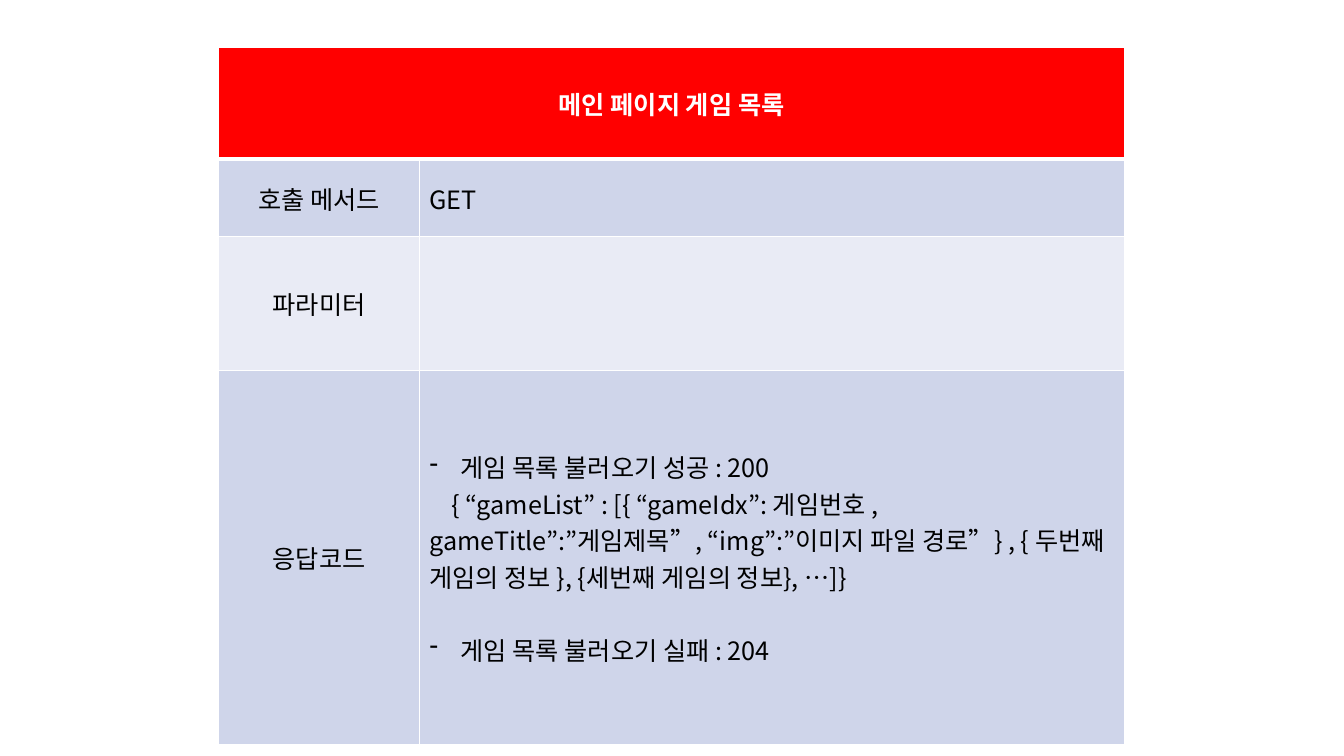
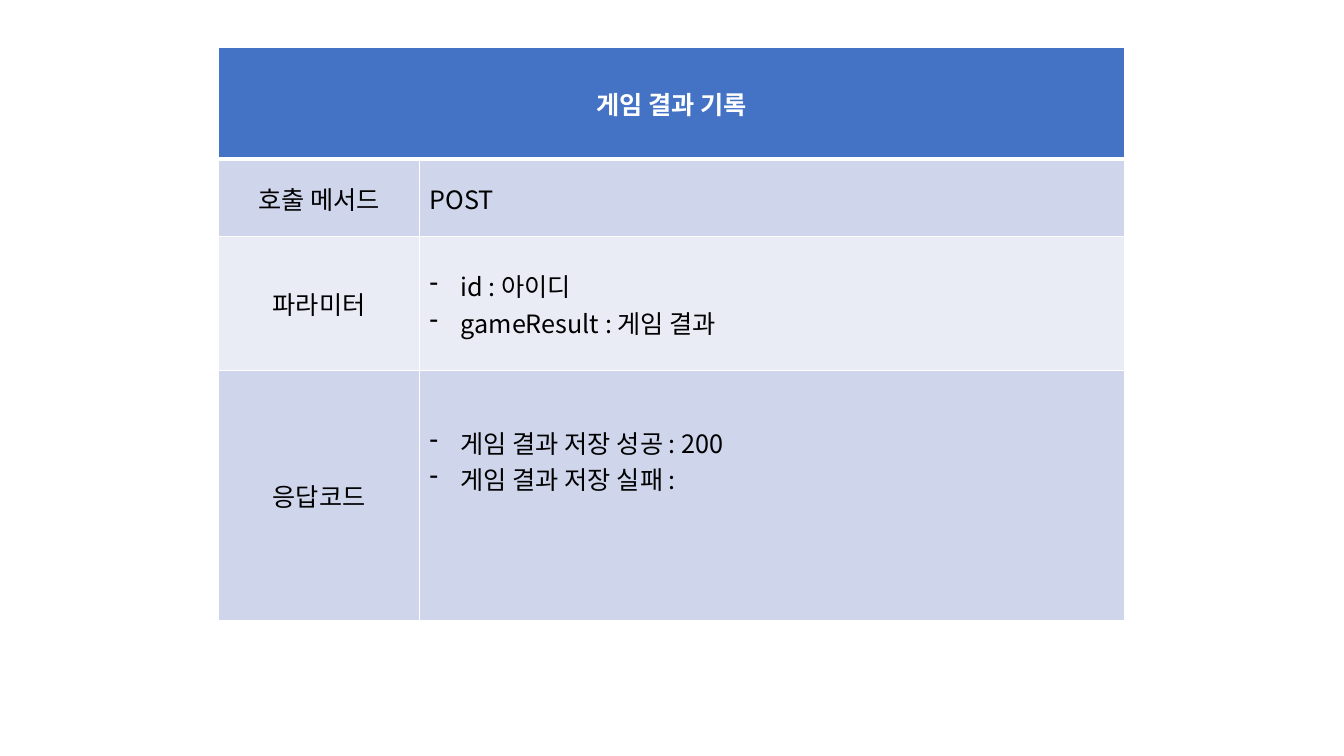
"""Build two slides that describe game API calls as tables."""
from dataclasses import dataclass

from lxml.etree import SubElement
from pptx import Presentation
from pptx.dml.color import RGBColor
from pptx.enum.text import MSO_ANCHOR, PP_ALIGN
from pptx.oxml.ns import qn
from pptx.util import Inches, Pt

FONT = "Noto Sans CJK KR"
SIZE = Pt(18)
WHITE = RGBColor(0xFF, 0xFF, 0xFF)
BLACK = RGBColor(0x00, 0x00, 0x00)
RED = RGBColor(0xFF, 0x00, 0x00)
BLUE = RGBColor(0x44, 0x72, 0xC4)
BAND_DARK = RGBColor(0xCF, 0xD5, 0xEA)
BAND_LIGHT = RGBColor(0xE9, 0xEB, 0xF5)

LEFT, TOP = Inches(2.17), Inches(0.47)
COLS = (1.99, 6.99)
TOP_ROWS = (1.11, 0.77, 1.33)
LABELS = ("호출 메서드", "파라미터", "응답코드")
BULLET_INDENT = Inches(0.31)


@dataclass(frozen=True)
class Line:
    text: str
    bullet: bool = False
    first_indent: float = 0
    before: float = 0


@dataclass(frozen=True)
class ApiCall:
    title: str
    color: RGBColor
    values: tuple[tuple[Line, ...], ...]
    response_height: float
    response_bottom: float = 0.05


CALLS = (
    ApiCall(
        "메인 페이지 게임 목록", RED,
        (
            (Line("GET"),),
            (),
            (
                Line("게임 목록 불러오기 성공 : 200", bullet=True),
                Line("{ “gameList” : [{ “gameIdx”: 게임번호 , gameTitle”:”게임제목”, "
                     "“img”:”이미지 파일 경로”} , { 두번째 게임의 정보 }, "
                     "{세번째 게임의 정보}, …]}", first_indent=0.22),
                Line("게임 목록 불러오기 실패 : 204", bullet=True, before=26),
            ),
        ),
        response_height=3.71,
    ),
    ApiCall(
        "게임 결과 기록", BLUE,
        (
            (Line("POST"),),
            (Line("id : 아이디", bullet=True), Line("gameResult : 게임 결과", bullet=True)),
            (
                Line("게임 결과 저장 성공 : 200", bullet=True),
                Line("게임 결과 저장 실패 :", bullet=True),
            ),
        ),
        response_height=2.48,
        response_bottom=0.75,
    ),
)


def set_borders(cell, bottom: float) -> None:
    tc_pr = cell._tc.get_or_add_tcPr()
    for side, width in (("L", 1), ("R", 1), ("T", 1), ("B", bottom)):
        ln = SubElement(tc_pr, qn(f"a:ln{side}"), w=str(Pt(width)))
        SubElement(SubElement(ln, qn("a:solidFill")), qn("a:srgbClr"), val=str(WHITE))


def add_line(p, line: Line, align: PP_ALIGN, color: RGBColor, bold: bool) -> None:
    p.alignment = align
    p.space_before = Pt(line.before)
    p_pr = p._p.get_or_add_pPr()
    if line.bullet:
        p_pr.set("marL", str(BULLET_INDENT))
        p_pr.set("indent", str(-BULLET_INDENT))
        SubElement(p_pr, qn("a:buChar"), char="-")
    elif line.first_indent:
        p_pr.set("marL", "0")
        p_pr.set("indent", str(Inches(line.first_indent)))
    r = p.add_run()
    r.text = line.text
    r.font.size, r.font.bold, r.font.name = SIZE, bold, FONT
    r.font.color.rgb = color
    SubElement(r._r.get_or_add_rPr(), qn("a:ea"), typeface=FONT)


def fill_cell(cell, lines: tuple[Line, ...], fill: RGBColor,
              align: PP_ALIGN = PP_ALIGN.LEFT, color: RGBColor = BLACK,
              bold: bool = False, bottom: float = 1) -> None:
    set_borders(cell, bottom)
    cell.fill.solid()
    cell.fill.fore_color.rgb = fill
    cell.vertical_anchor = MSO_ANCHOR.MIDDLE
    tf = cell.text_frame
    for i, line in enumerate(lines):
        p = tf.add_paragraph() if i else tf.paragraphs[0]
        add_line(p, line, align, color, bold)


def add_call_slide(prs, call: ApiCall) -> None:
    s = prs.slides.add_slide(prs.slide_layouts[6])
    heights = (*TOP_ROWS, call.response_height)
    table = s.shapes.add_table(len(heights), len(COLS), LEFT, TOP,
                               Inches(sum(COLS)), Inches(sum(heights))).table
    table.first_row = table.horz_banding = False
    for col, width in zip(table.columns, COLS):
        col.width = Inches(width)
    for row, height in zip(table.rows, heights):
        row.height = Inches(height)

    header, spanned = table.cell(0, 0), table.cell(0, 1)
    header.merge(spanned)
    fill_cell(header, (Line(call.title),), call.color, PP_ALIGN.CENTER, WHITE, True, 3)
    fill_cell(spanned, (), call.color, bottom=3)
    for i, (label, lines) in enumerate(zip(LABELS, call.values), start=1):
        band = BAND_DARK if i % 2 else BAND_LIGHT
        fill_cell(table.cell(i, 0), (Line(label),), band, PP_ALIGN.CENTER)
        fill_cell(table.cell(i, 1), lines, band)
    table.cell(len(LABELS), 1).margin_bottom = Inches(call.response_bottom)


def main() -> None:
    prs = Presentation()
    prs.slide_width, prs.slide_height = Inches(13.33), Inches(7.5)
    for call in CALLS:
        add_call_slide(prs, call)
    prs.save("out.pptx")


if __name__ == "__main__":
    main()
